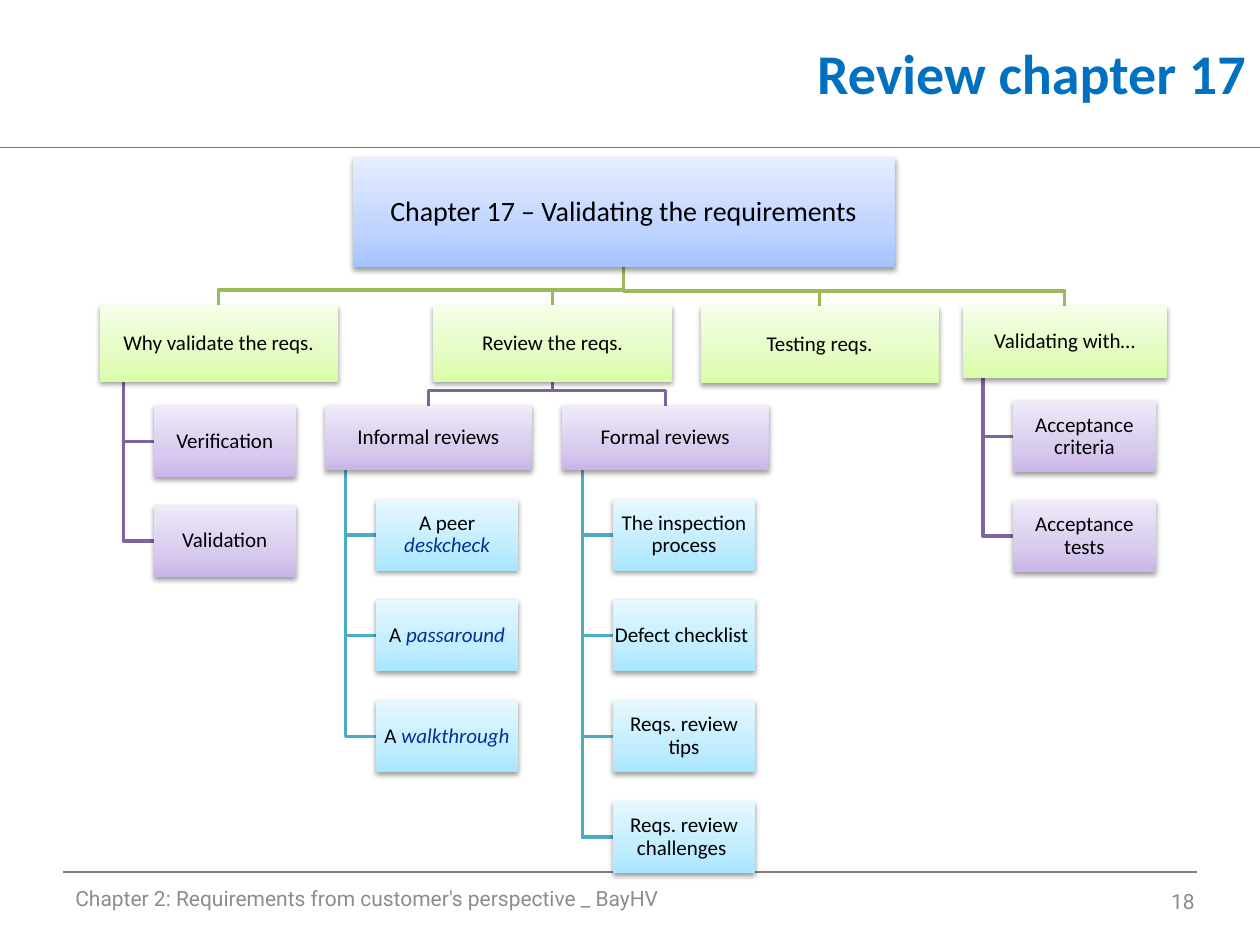
from dataclasses import dataclass, field

from lxml.etree import SubElement as Sub
from pptx import Presentation
from pptx.dml.color import RGBColor as Rgb
from pptx.enum.shapes import MSO_CONNECTOR as Conn, MSO_SHAPE as Shape
from pptx.enum.text import MSO_ANCHOR as Anchor, PP_ALIGN as Align
from pptx.oxml.ns import qn
from pptx.util import Inches, Pt


class Theme:
    """Colours, fonts and type sizes."""
    font, foot_font = "Calibri", "Roboto"
    head_size, root_size, size = 32, 16, 12
    head, ink, accent, gray = "0070C0", "000000", "003399", "8C8C8C"
    rule, foot_rule = "4B7EBC", "808080"
    # Gradient stops from bottom to top
    fills = {
        "blue": ("A4C4FF", "BFD4FF", "E6EEFF"),
        "green": ("DAFDA7", "E4FCC2", "F5FFE7"),
        "purple": ("C9B5E8", "D8CBEE", "F0EAF9"),
        "cyan": ("A7E6FF", "C1EDFF", "E7F8FF"),
    }
    stops = (0, 35, 100)
    links = {"green": "9BBB59", "purple": "8064A2", "cyan": "4BACC6"}


@dataclass
class Node:
    """A box of the chart; text between asterisks is stressed."""
    text: str
    tone: str
    left: float
    top: float
    width: float
    height: float
    size: int = Theme.size
    hung: bool = False
    kids: list = field(default_factory=list)

    @property
    def mid(self):
        return self.left + self.width / 2

    @property
    def base(self):
        return self.top + self.height

    @property
    def stem(self):
        return self.left + self.width / 10

    def hang(self, tone, top, step, *names):
        """Stack small boxes below, to the right of the stem."""
        self.kids = [Node(name, tone, self.stem + 0.24, top + i * step,
                          1.13, 0.57, hung=True)
                     for i, name in enumerate(names)]
        return self


class Page:
    def __init__(self, deck, theme):
        self.theme = theme
        self.slide = deck.slides.add_slide(deck.slide_layouts[5])
        self.shapes = self.slide.shapes

    def style(self, font, size, color, name):
        font.size, font.name = Pt(size), name
        font.color.rgb = Rgb.from_string(color)

    def title(self, text, left, top, width, height):
        box = self.shapes.title
        box.left, box.top = Inches(left), Inches(top)
        box.width, box.height = Inches(width), Inches(height)
        box.text_frame.vertical_anchor = Anchor.MIDDLE
        para = box.text_frame.paragraphs[0]
        para.text, para.alignment = text, Align.RIGHT
        self.style(para.font, self.theme.head_size, self.theme.head,
                   self.theme.font)
        para.font.bold = True

    def rule(self, left, right, top, color):
        line = self.shapes.add_connector(
            Conn.STRAIGHT, Inches(left), Inches(top),
            Inches(right), Inches(top))
        line.line.color.rgb = Rgb.from_string(color)
        line.line.width = Pt(0.75)
        Sub(line._element.spPr, qn("a:effectLst"))

    def note(self, text, left, top, width, align):
        frame = self.shapes.add_textbox(
            Inches(left), Inches(top), Inches(width), Inches(0.4)).text_frame
        frame.word_wrap, frame.vertical_anchor = True, Anchor.MIDDLE
        para = frame.paragraphs[0]
        para.text, para.alignment = text, align
        self.style(para.font, self.theme.size, self.theme.gray,
                   self.theme.foot_font)

    def link(self, node, kid):
        """Draw an elbow from a box to one of its kids."""
        if kid.hung:
            y = kid.top + kid.height / 2
            spots = [(node.stem, node.base), (node.stem, y), (kid.left, y)]
        else:
            bar = kid.top - 0.12
            spots = [(node.mid, node.base), (node.mid, bar),
                     (kid.mid, bar), (kid.mid, kid.top)]
        first, *rest = [(Inches(x), Inches(y)) for x, y in spots]
        path = self.shapes.build_freeform(*first)
        path.add_line_segments(rest, close=False)
        elbow = path.convert_to_shape()
        elbow.fill.background()
        elbow.line.color.rgb = Rgb.from_string(self.theme.links[kid.tone])
        elbow.line.width = Pt(2)
        elbow.shadow.inherit = False

    def box(self, node):
        shape = self.shapes.add_shape(
            Shape.RECTANGLE, Inches(node.left), Inches(node.top),
            Inches(node.width), Inches(node.height))
        shape.line.fill.background()
        self.shade(shape, self.theme.fills[node.tone])
        self.shadow(shape)
        frame = shape.text_frame
        frame.word_wrap, frame.vertical_anchor = True, Anchor.MIDDLE
        frame.margin_left = frame.margin_right = Inches(0.01)
        frame.margin_top = frame.margin_bottom = Inches(0.01)
        para = frame.paragraphs[0]
        para.alignment, para.line_spacing = Align.CENTER, 0.9
        self.style(para.font, node.size, self.theme.ink, self.theme.font)
        for i, part in enumerate(node.text.split("*")):
            if part:
                run = para.add_run()
                run.text = part
                stress = i % 2 == 1
                self.style(run.font, node.size,
                           self.theme.accent if stress else self.theme.ink,
                           self.theme.font)
                if stress:
                    run.font.italic = True

    def shade(self, shape, colors):
        shape.fill.gradient()
        shape.fill.gradient_angle = 90
        stops = shape._element.spPr.find(".//" + qn("a:gsLst"))
        for stop in list(stops):
            stops.remove(stop)
        for pos, color in zip(self.theme.stops, colors):
            stop = Sub(stops, qn("a:gs"), pos=str(pos * 1000))
            Sub(stop, qn("a:srgbClr"), val=color)

    def shadow(self, shape):
        shape.shadow.inherit = False
        effect = shape._element.spPr.find(qn("a:effectLst"))
        outer = Sub(effect, qn("a:outerShdw"), blurRad="40000", dist="20000",
                    dir="5400000", rotWithShape="0")
        color = Sub(outer, qn("a:srgbClr"), val="000000")
        Sub(color, qn("a:alpha"), val="38000")

    def links(self, node):
        for kid in node.kids:
            self.link(node, kid)
            self.links(kid)

    def tree(self, node):
        self.box(node)
        for kid in node.kids:
            self.tree(kid)


def chart():
    """Lay out the chapter's topics."""
    root = Node("Chapter 17 – Validating the requirements", "blue",
                2.8, 1.25, 4.3, 0.87, size=Theme.root_size)
    why = Node("Why validate the reqs.", "green", 0.79, 2.42, 1.89, 0.61)
    why.hang("purple", 3.22, 0.79, "Verification", "Validation")
    review = Node("Review the reqs.", "green", 3.44, 2.42, 1.89, 0.61)
    loose = Node("Informal reviews", "purple", 2.58, 3.22, 1.64, 0.51)
    loose.hang("cyan", 3.96, 0.8, "A peer *deskcheck*", "A *passaround*",
               "A *walkthrough*")
    formal = Node("Formal reviews", "purple", 4.46, 3.22, 1.64, 0.51)
    formal.hang("cyan", 3.96, 0.8, "The inspection process",
                "Defect checklist ", "Reqs. review tips",
                "Reqs. review challenges ")
    review.kids = [loose, formal]
    tests = Node("Testing reqs.", "green", 5.56, 2.43, 1.89, 0.61)
    valid = Node("Validating with…", "green", 7.64, 2.43, 1.62, 0.57)
    valid.hang("purple", 3.18, 0.79, "Acceptance criteria",
               "Acceptance tests")
    root.kids = [why, review, tests, valid]
    return root


def main():
    deck = Presentation()
    deck.slide_width, deck.slide_height = Inches(10), Inches(7.5)
    page = Page(deck, Theme)

    # Title, rules and footer
    page.title("Review chapter 17", 2.9, 0, 7.09, 1.15)
    page.rule(0, 10, 1.17, Theme.rule)
    page.rule(0.5, 9.5, 6.92, Theme.foot_rule)
    page.note("Chapter 2: Requirements from customer's perspective _ BayHV",
              0.5, 6.93, 6.67, Align.LEFT)
    page.note("18", 7.25, 6.95, 2.33, Align.RIGHT)

    # Links go behind the boxes
    root = chart()
    page.links(root)
    page.tree(root)
    deck.save("out.pptx")


if __name__ == "__main__":
    main()
